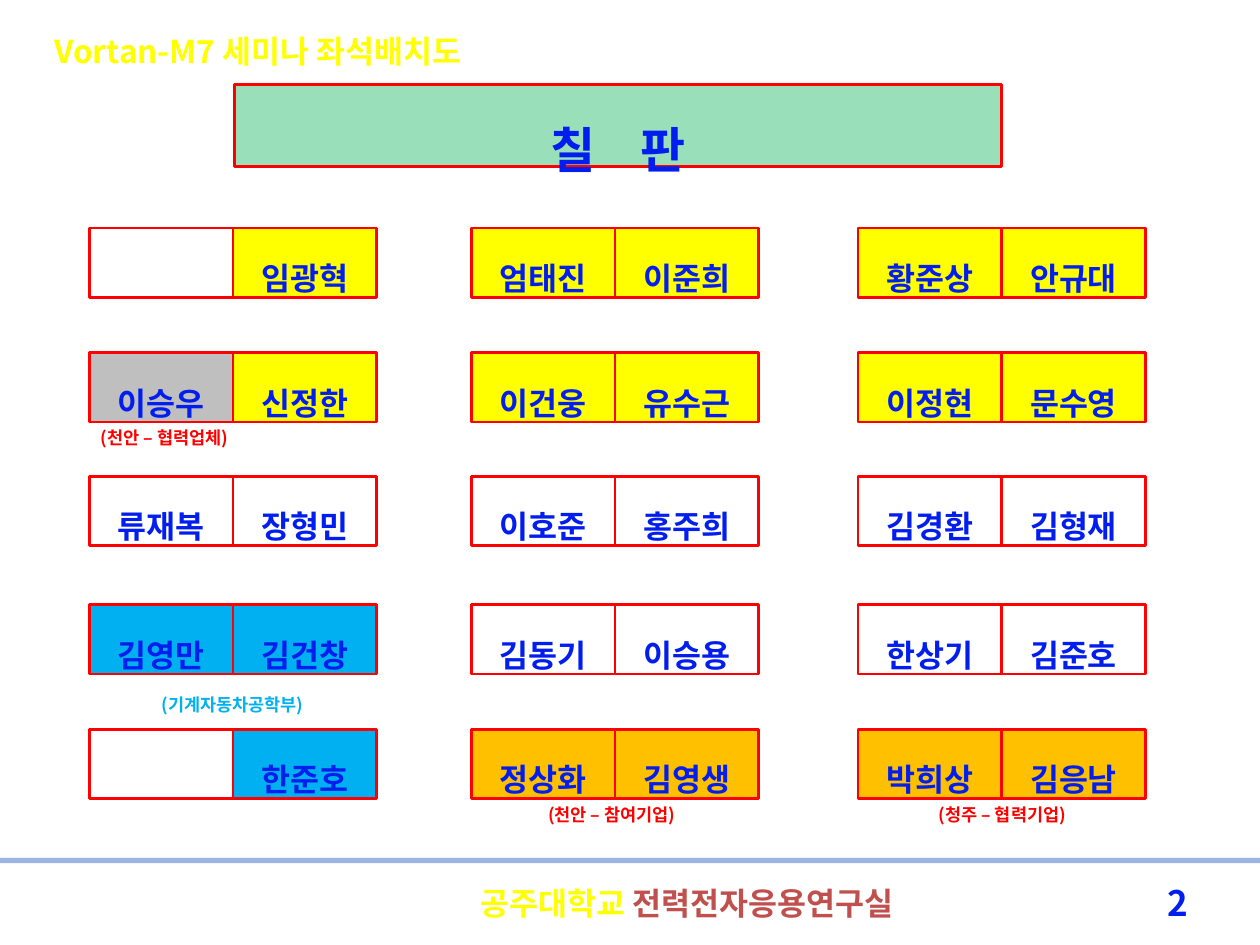
from lxml.etree import SubElement
from pptx import Presentation
from pptx.dml.color import RGBColor
from pptx.enum.shapes import MSO_SHAPE as SHAPE
from pptx.enum.text import MSO_ANCHOR as ANCHOR, MSO_AUTO_SIZE as AUTO, PP_ALIGN as ALIGN
from pptx.oxml import parse_xml
from pptx.oxml.ns import nsdecls, qn
from pptx.util import Inches, Pt

FONT = "Noto Sans CJK KR"
BLUE = RGBColor(0x02, 0x1E, 0xEE)
RED = RGBColor(0xFF, 0x00, 0x00)
YELLOW = RGBColor(0xFF, 0xFF, 0x00)
GRAY = RGBColor(0xBF, 0xBF, 0xBF)
SKY = RGBColor(0x00, 0xB0, 0xF0)
ORANGE = RGBColor(0xFF, 0xC0, 0x00)
GREEN = RGBColor(0x00, 0xB0, 0x50)
BRICK = RGBColor(0xC0, 0x50, 0x4D)
WHITE = RGBColor(0xFF, 0xFF, 0xFF)
RULE = RGBColor(0x9A, 0xB5, 0xE4)

# Content
TITLE = "Vortan-M7 세미나 좌석배치도"
BOARD = "칠    판"
LAB = [("공주대학교 ", YELLOW, GREEN), ("전력전자응용연구실", BRICK, WHITE)]
PAGE = "2"
# Each row of desks: top, then (name, fill) for every seat
SEATS = [
    (1.81, [("", None), ("임광혁", YELLOW), ("엄태진", YELLOW),
            ("이준희", YELLOW), ("황준상", YELLOW), ("안규대", YELLOW)]),
    (2.80, [("이승우", GRAY), ("신정한", YELLOW), ("이건웅", YELLOW),
            ("유수근", YELLOW), ("이정현", YELLOW), ("문수영", YELLOW)]),
    (3.78, [("류재복", None), ("장형민", None), ("이호준", None),
            ("홍주희", None), ("김경환", None), ("김형재", None)]),
    (4.80, [("김영만", SKY), ("김건창", SKY), ("김동기", None),
            ("이승용", None), ("한상기", None), ("김준호", None)]),
    (5.79, [("", None), ("한준호", SKY), ("정상화", ORANGE),
            ("김영생", ORANGE), ("박희상", ORANGE), ("김응남", ORANGE)]),
]
# Affiliations: text, left, top, colour
NOTES = [
    ("(천안 – 협력업체)", 0.39, 3.31, RED),
    ("(기계자동차공학부)", 0.93, 5.43, SKY),
    ("(천안 – 참여기업)", 3.94, 6.30, RED),
    ("(청주 – 협력기업)", 7.04, 6.30, RED),
]
DESK_LEFTS = [0.71, 3.74, 6.81]
SEAT_W, SEAT_H = 1.14, 0.55


def style(r, size, color, outline=None):
    f = r.font
    f.name, f.size, f.bold = FONT, Pt(size), True
    f.color.rgb = color
    rPr = r._r.get_or_add_rPr()
    SubElement(rPr, qn("a:ea")).set("typeface", FONT)
    if outline is not None:
        rPr.insert(0, parse_xml(
            f'<a:ln {nsdecls("a")} w="9525"><a:solidFill>'
            f'<a:srgbClr val="{outline}"/></a:solidFill></a:ln>'))


def write(tf, text, size, color, align=ALIGN.CENTER, spacing=None, outline=None):
    p = tf.paragraphs[0]
    p.text, p.alignment = text, align
    if spacing:
        p.line_spacing = spacing
    for r in p.runs:
        style(r, size, color, outline)


def add_text(s, x, y, w, h, wrap=True):
    tf = s.shapes.add_textbox(Inches(x), Inches(y), Inches(w), Inches(h)).text_frame
    tf.word_wrap = wrap
    return tf


def add_box(s, x, y, w, h, fill, line=RED):
    sp = s.shapes.add_shape(SHAPE.RECTANGLE, Inches(x), Inches(y), Inches(w), Inches(h))
    sp.shadow.inherit = False
    if fill is None:
        sp.fill.background()
    else:
        sp.fill.solid()
        sp.fill.fore_color.rgb = fill
    if line is None:
        sp.line.fill.background()
    else:
        sp.line.color.rgb = line
        sp.line.width = Pt(1.5)
    return sp


def label(sp, text, size):
    tf = sp.text_frame
    tf.margin_left = tf.margin_right = tf.margin_top = tf.margin_bottom = 0
    tf.vertical_anchor = ANCHOR.MIDDLE
    write(tf, text, size, BLUE, spacing=1.8)


prs = Presentation()
prs.slide_width, prs.slide_height = Inches(10), Inches(7.5)
s = prs.slides.add_slide(prs.slide_layouts[5])

# Title
title = s.shapes.title
title.left, title.top, title.width, title.height = map(Inches, (0.2, 0.2, 3.69, 0.4))
tf = title.text_frame
tf.word_wrap, tf.auto_size, tf.vertical_anchor = False, AUTO.NONE, ANCHOR.TOP
write(tf, TITLE, 18, YELLOW, outline=GREEN)

# Footer rule and page number
add_box(s, 0, 6.81, 10, 0.04, RULE, line=None)
tf = add_text(s, 8.46, 6.93, 1.07, 0.47)
tf.vertical_anchor = ANCHOR.MIDDLE
write(tf, PAGE, 20, BLUE, ALIGN.RIGHT)

# Blackboard with a translucent fill
board = add_box(s, 1.86, 0.67, 6.09, 0.65, GREEN)
clr = board.fill._xPr.find(qn("a:solidFill")).find(qn("a:srgbClr"))
SubElement(clr, qn("a:alpha")).set("val", "40000")
label(board, BOARD, 28)

# Seats, two to a desk
for top, row in SEATS:
    for i, (name, fill) in enumerate(row):
        desk, side = divmod(i, 2)
        seat = add_box(s, DESK_LEFTS[desk] + side * SEAT_W, top, SEAT_W, SEAT_H, fill)
        if name:
            label(seat, name, 18)

# Affiliations
for text, x, y, color in NOTES:
    write(add_text(s, x, y, 1.83, 0.3), text, 10, color, spacing=1.2)

# Laboratory name
p = add_text(s, 3.54, 6.97, 3.83, 0.4, wrap=False).paragraphs[0]
p.alignment = ALIGN.CENTER
for text, color, outline in LAB:
    r = p.add_run()
    r.text = text
    style(r, 18, color, outline)

prs.save("out.pptx")
